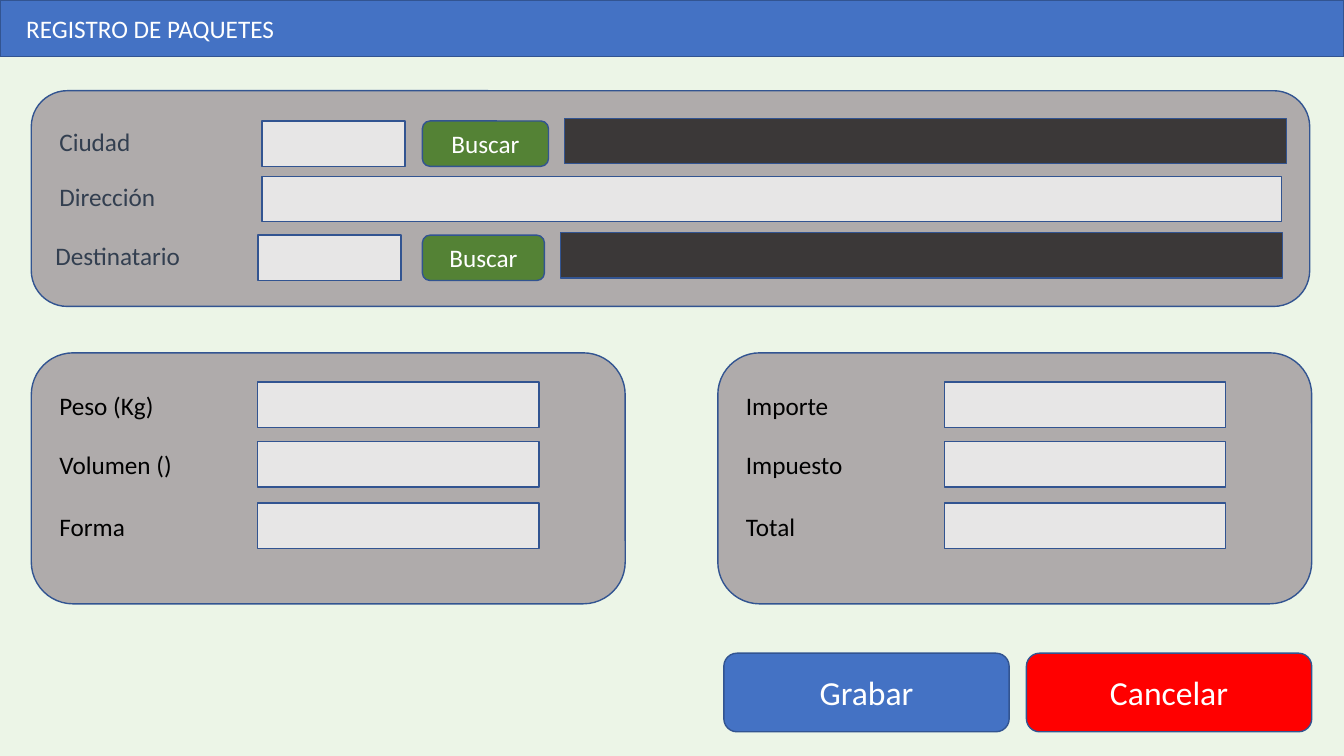
from dataclasses import dataclass
from pptx import Presentation
from pptx import util as u
from pptx.dml import color
from pptx.enum import shapes, text

COLORS = {
    "page": "ECF5E7", "panel": "AFABAB", "outline": "325491", "blue": "4472C4",
    "red": "FF0000", "green": "548235", "field": "E7E6E6", "result": "3B3838",
    "slate": "333F50", "black": "000000", "white": "FFFFFF",
}
FONT = "Calibri"
RECT = shapes.MSO_SHAPE.RECTANGLE
ROUND = shapes.MSO_SHAPE.ROUNDED_RECTANGLE
FIELD_H = 6

prs = Presentation()
prs.slide_width, prs.slide_height = u.Inches(13.33), u.Inches(7.5)


@dataclass
class Area:
    """Position and size in percent of the slide."""
    x: float
    y: float
    w: float
    h: float

    def emu(self) -> tuple[int, int, int, int]:
        sw, sh = prs.slide_width, prs.slide_height
        return (round(self.x * sw / 100), round(self.y * sh / 100),
                round(self.w * sw / 100), round(self.h * sh / 100))


@dataclass
class Box:
    area: Area
    fill: str
    kind: shapes.MSO_SHAPE = RECT
    caption: str = ""
    size: int = 18


@dataclass
class Label:
    x: float
    y: float
    caption: str
    ink: str


def rgb(name: str) -> color.RGBColor:
    return color.RGBColor.from_string(COLORS[name])


def paint(sp, fill: str) -> None:
    sp.fill.solid()
    sp.fill.fore_color.rgb = rgb(fill)
    sp.line.color.rgb = rgb("outline")
    sp.line.width = u.Pt(1)


def write(sp, caption: str, size: int, ink: str, align: text.PP_ALIGN) -> None:
    p = sp.text_frame.paragraphs[0]
    p.text = caption
    p.alignment = align
    p.font.name, p.font.size = FONT, u.Pt(size)
    p.font.color.rgb = rgb(ink)


def draw_box(box: Box) -> None:
    sp = s.shapes.add_shape(box.kind, *box.area.emu())
    sp.shadow.inherit = False
    paint(sp, box.fill)
    if box.caption:
        sp.text_frame.vertical_anchor = text.MSO_ANCHOR.MIDDLE
        write(sp, box.caption, box.size, "white", text.PP_ALIGN.CENTER)


def draw_label(label: Label) -> None:
    sp = s.shapes.add_textbox(*Area(label.x, label.y, 13.13, 5.39).emu())
    sp.text_frame.word_wrap = True
    write(sp, label.caption, 18, label.ink, text.PP_ALIGN.LEFT)


def draw_title(caption: str) -> None:
    sp = s.shapes.title
    sp.left, sp.top, sp.width, sp.height = Area(0, 0, 100, 7.47).emu()
    paint(sp, "blue")
    tf = sp.text_frame
    tf.auto_size = text.MSO_AUTO_SIZE.NONE
    tf.vertical_anchor = text.MSO_ANCHOR.MIDDLE
    tf.margin_left = u.Inches(0.26)
    write(sp, caption, 18, "white", text.PP_ALIGN.LEFT)


def draw_search_row(y: float, shift: float, caption: str, button_w: float) -> None:
    draw_label(Label(3.68 - shift, y, caption, "slate"))
    draw_box(Box(Area(19.5 - shift, y, 10.65, FIELD_H), "field"))
    draw_box(Box(Area(31.43, y, button_w, FIELD_H), "green", ROUND, "Buscar"))
    draw_box(Box(Area(42.01 - shift, y - 0.33, 53.71, FIELD_H), "result"))


def draw_form(x: float, captions: list[str]) -> None:
    draw_box(Box(Area(x, 46.67, 44.19, 33.2), "panel", ROUND))
    for y, caption in zip((50.53, 58.4, 66.53), captions):
        draw_label(Label(x + 1.35, y + 0.4, caption, "black"))
        draw_box(Box(Area(x + 16.85, y, 20.93, FIELD_H), "field"))


s = prs.slides.add_slide(prs.slide_layouts[5])
s.background.fill.solid()
s.background.fill.fore_color.rgb = rgb("page")

draw_title("REGISTRO DE PAQUETES")

draw_box(Box(Area(2.33, 12, 95.12, 28.53), "panel", ROUND))
draw_search_row(16, 0, "Ciudad", 9.38)
draw_label(Label(3.68, 23.33, "Dirección", "slate"))
draw_box(Box(Area(19.5, 23.33, 75.84, FIELD_H), "field"))
draw_search_row(31.1, 0.3, "Destinatario", 9.08)

draw_form(2.33, ["Peso (Kg)", "Volumen ()", "Forma"])
draw_form(53.41, ["Importe", "Impuesto", "Total"])

for x, fill, caption in ((53.86, "blue", "Grabar"), (76.37, "red", "Cancelar")):
    draw_box(Box(Area(x, 86.4, 21.23, 10.4), fill, ROUND, caption, 24))

prs.save("out.pptx")
